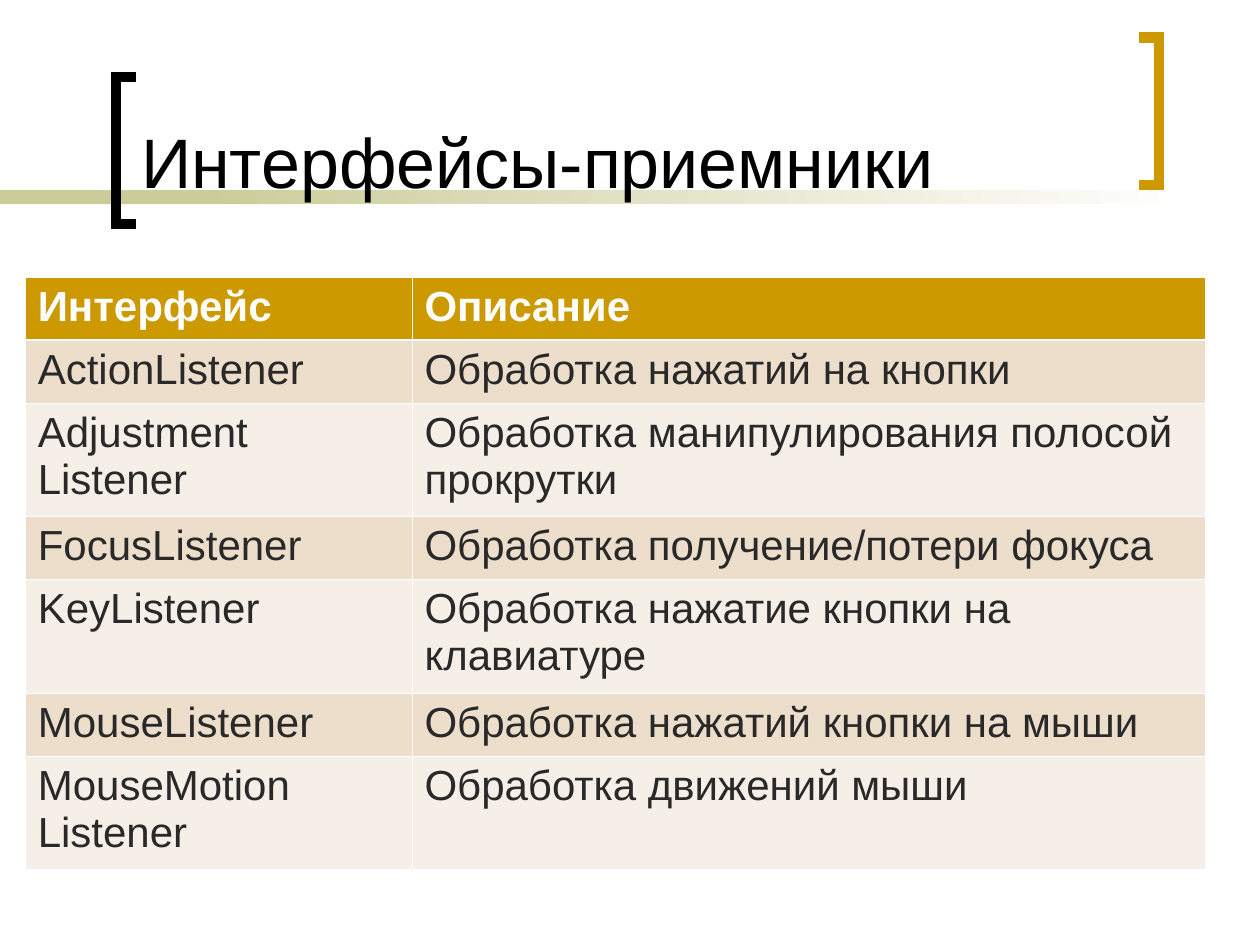
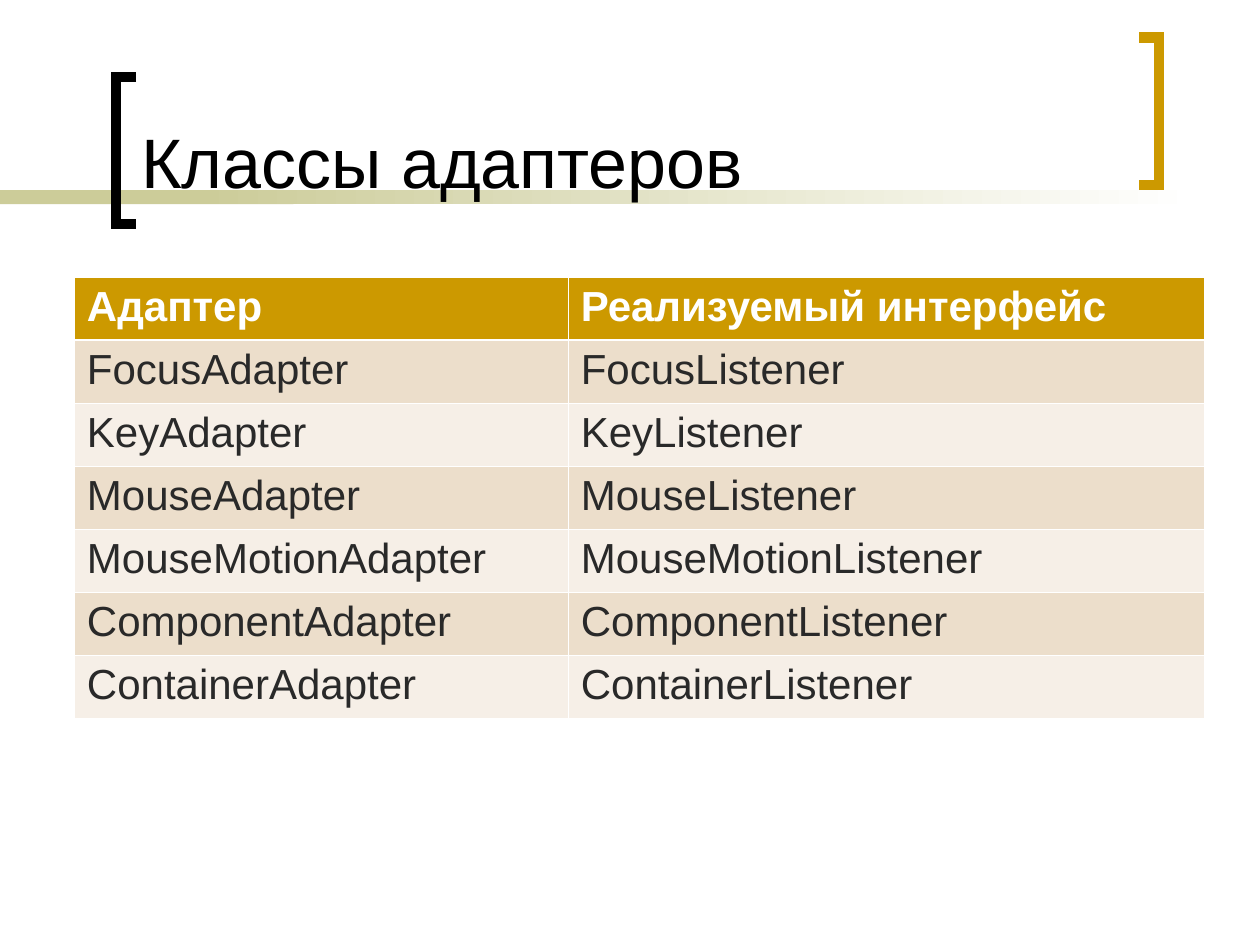
from lxml.etree import SubElement
from pptx import Presentation
from pptx.dml.color import RGBColor
from pptx.enum.shapes import MSO_SHAPE, PP_PLACEHOLDER
from pptx.enum.text import MSO_ANCHOR, MSO_AUTO_SIZE, PP_ALIGN
from pptx.oxml.ns import qn
from pptx.util import Inches, Pt

COLORS = {
    "black": "000000",
    "white": "FFFFFF",
    "gold": "CC9900",
    "olive": "CCCC99",
    "text": "292929",
    "dark_row": "ECDECB",
    "light_row": "F6EFE7",
}
FONT = "Arial"
TABLE_TOP = 2.2
LINE_HEIGHTS = {1: 0.5, 2: 0.9}

TABLES = [
    {
        "title": "Интерфейсы-приемники",
        "left": 0.2,
        "columns": [3.07, 6.3],
        "row_lines": [1, 1, 2, 1, 2, 1, 2],
        "rows": [
            ("Интерфейс", "Описание"),
            ("ActionListener", "Обработка нажатий на кнопки"),
            ("Adjustment\nListener", "Обработка манипулирования полосой прокрутки"),
            ("FocusListener", "Обработка получение/потери фокуса"),
            ("KeyListener", "Обработка нажатие кнопки на клавиатуре"),
            ("MouseListener", "Обработка нажатий кнопки на мыши"),
            ("MouseMotion\nListener", "Обработка движений мыши"),
        ],
    },
    {
        "title": "Классы адаптеров",
        "left": 0.59,
        "columns": [3.92, 5.05],
        "row_lines": [1] * 7,
        "rows": [("Адаптер", "Реализуемый интерфейс")] + [
            (f"{event}Adapter", f"{event}Listener")
            for event in ("Focus", "Key", "Mouse", "MouseMotion", "Component", "Container")
        ],
    },
]


def write_text(text_frame, text, size=24, color="text", bold=False):
    text_frame.text = text
    for paragraph in text_frame.paragraphs:
        paragraph.alignment = PP_ALIGN.LEFT
        for run in paragraph.runs:
            run.font.name = FONT
            run.font.size = Pt(size)
            run.font.bold = bold
            run.font.color.rgb = RGBColor.from_string(COLORS[color])


def add_cell_borders(cell, widths):
    """Draw white borders; widths maps a side (L, R, T, B) to points."""
    properties = cell._tc.get_or_add_tcPr()
    for side, width in widths.items():
        line = SubElement(properties, qn(f"a:ln{side}"), w=str(Pt(width)))
        fill = SubElement(line, qn("a:solidFill"))
        SubElement(fill, qn("a:srgbClr"), val=COLORS["white"])


presentation = Presentation()
presentation.slide_width = Inches(10)
presentation.slide_height = Inches(7.5)
layout = presentation.slide_layouts[5]
for placeholder in list(layout.placeholders):
    if placeholder.placeholder_format.type != PP_PLACEHOLDER.TITLE:
        layout.shapes.element.remove(placeholder.element)

slides = [presentation.slides.add_slide(layout) for _ in TABLES]

# Shared decoration: built on the first slide, then moved to the layout
shapes = slides[0].shapes
solid_band, fading_band = [
    shapes.add_shape(MSO_SHAPE.RECTANGLE, Inches(left), Inches(1.51), Inches(width), Inches(0.11))
    for left, width in ((0, 2.33), (1.58, 7.92))
]
solid_band.fill.solid()
solid_band.fill.fore_color.rgb = RGBColor.from_string(COLORS["olive"])
fading_band.fill.gradient()
fading_band.fill.gradient_angle = 0
for stop, position, color in zip(fading_band.fill.gradient_stops, (0, 1), ("olive", "white")):
    stop.position = position
    stop.color.rgb = RGBColor.from_string(COLORS[color])
for band in (solid_band, fading_band):
    band.line.fill.background()

brackets = []
for tip, spine, top, color in ((1.08, 0.92, 0.61, "black"), (9.04, 9.2, 0.3, "gold")):
    bottom = top + 1.17
    builder = shapes.build_freeform(Inches(tip), Inches(top))
    corners = [(spine, top), (spine, bottom), (tip, bottom)]
    builder.add_line_segments([(Inches(x), Inches(y)) for x, y in corners], close=False)
    bracket = builder.convert_to_shape()
    bracket.fill.background()
    bracket.line.width = Pt(6)
    bracket.line.color.rgb = RGBColor.from_string(COLORS[color])
    SubElement(bracket.line._get_or_add_ln(), qn("a:miter"), lim="800000")
    brackets.append(bracket)

for shape in (solid_band, fading_band, *brackets):
    shape.shadow.inherit = False
    layout.shapes.element.append(shape.element)

for slide, content in zip(slides, TABLES):
    title = slide.shapes.title
    title.left, title.top = Inches(1.02), Inches(0.11)
    title.width, title.height = Inches(7.83), Inches(1.55)
    title.text_frame.vertical_anchor = MSO_ANCHOR.BOTTOM
    title.text_frame.auto_size = MSO_AUTO_SIZE.NONE
    write_text(title.text_frame, content["title"], size=40, color="black")

    heights = [LINE_HEIGHTS[lines] for lines in content["row_lines"]]
    table = slide.shapes.add_table(
        len(heights), len(content["columns"]),
        Inches(content["left"]), Inches(TABLE_TOP),
        Inches(sum(content["columns"])), Inches(sum(heights)),
    ).table
    for column, width in zip(table.columns, content["columns"]):
        column.width = Inches(width)
    for row_index, (row, height, texts) in enumerate(zip(table.rows, heights, content["rows"])):
        row.height = Inches(height)
        is_header = row_index == 0
        fill = "gold" if is_header else "dark_row" if row_index % 2 else "light_row"
        borders = {
            "L": 0.45,
            "R": 0.45,
            "T": 1.47 if row_index == 1 else 0.45,
            "B": 1.47 if is_header else 0.45,
        }
        for cell, text in zip(row.cells, texts):
            add_cell_borders(cell, borders)
            cell.fill.solid()
            cell.fill.fore_color.rgb = RGBColor.from_string(COLORS[fill])
            write_text(cell.text_frame, text, color="white" if is_header else "text", bold=is_header)

presentation.save("out.pptx")
